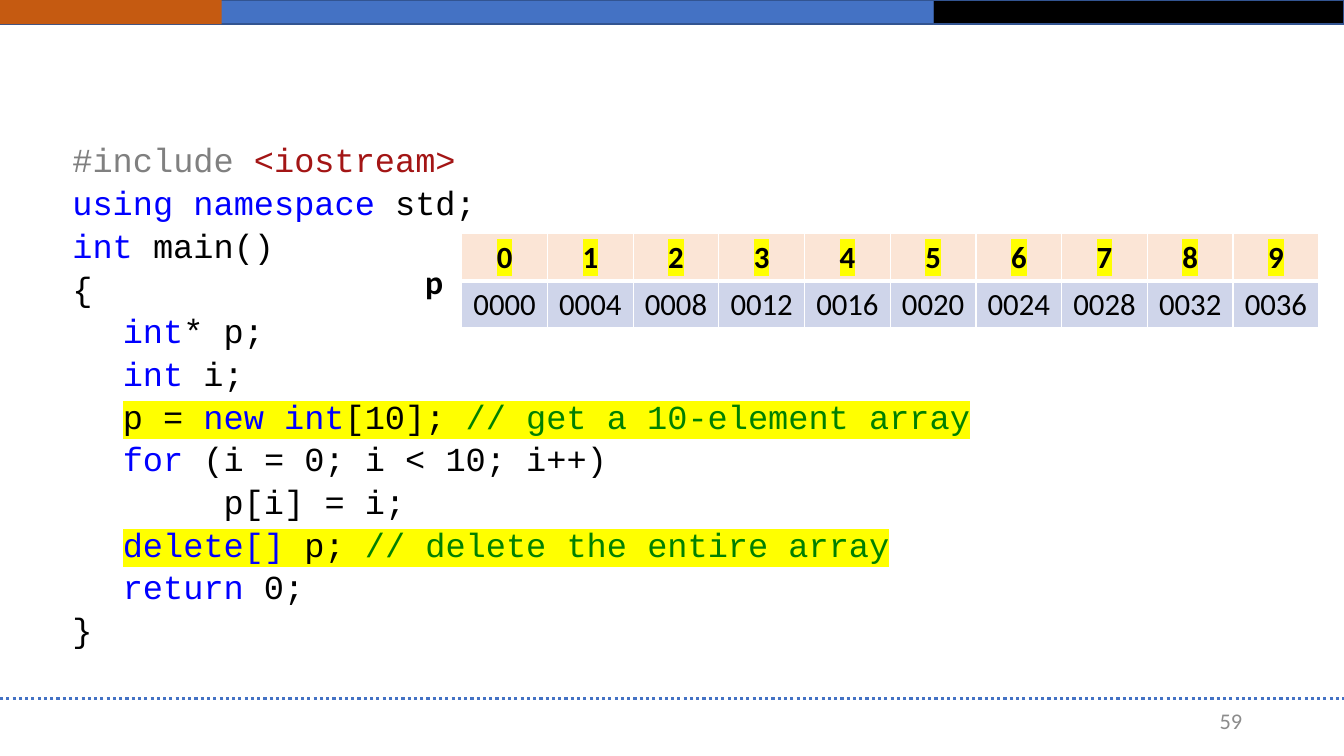
from lxml import etree
from pptx import Presentation
from pptx.dml.color import RGBColor
from pptx.enum.dml import MSO_LINE
from pptx.enum.shapes import MSO_CONNECTOR, MSO_SHAPE
from pptx.enum.text import MSO_ANCHOR, PP_ALIGN
from pptx.oxml.ns import qn
from pptx.util import Pt

PX = 9144  # EMU per px, 100 px to the inch
RECT, STRAIGHT = MSO_SHAPE.RECTANGLE, MSO_CONNECTOR.STRAIGHT
DOTTED = MSO_LINE.ROUND_DOT
LEFT, CENTER, RIGHT = PP_ALIGN.LEFT, PP_ALIGN.CENTER, PP_ALIGN.RIGHT
TOP, MIDDLE = MSO_ANCHOR.TOP, MSO_ANCHOR.MIDDLE

BLACK = RGBColor(0x00, 0x00, 0x00)
WHITE = RGBColor(0xFF, 0xFF, 0xFF)
BLUE = RGBColor(0x44, 0x72, 0xC4)
NAVY = RGBColor(0x32, 0x54, 0x91)
ORANGE = RGBColor(0xC5, 0x5A, 0x11)
GRAY = RGBColor(0x8C, 0x8C, 0x8C)
YELLOW = RGBColor(0xFF, 0xFF, 0x00)
PEACH = RGBColor(0xFB, 0xE5, 0xD6)
LAVENDER = RGBColor(0xCF, 0xD5, 0xEA)
DIRECTIVE = RGBColor(0x80, 0x80, 0x80)
HEADER = RGBColor(0xA3, 0x15, 0x15)
KEYWORD = RGBColor(0x00, 0x00, 0xFF)
COMMENT = RGBColor(0x00, 0x80, 0x00)

BODY_FONT, CODE_FONT = "Calibri", "Courier New"

# left, width, fill, outline
BANNER = [
    (0, 926, BLUE, NAVY),
    (926, 407, BLACK, NAVY),
    (0, 220, ORANGE, None),
]
BANNER_H = 24

# indent in px, highlight, coloured pieces
CODE = [
    (0, None, [("#include ", DIRECTIVE), ("<iostream>", HEADER)]),
    (0, None, [("using namespace", KEYWORD), (" std;", BLACK)]),
    (0, None, [("int", KEYWORD), (" main()", BLACK)]),
    (0, None, [("{", BLACK)]),
    (50, None, [("int", KEYWORD), ("* p;", BLACK)]),
    (50, None, [("int ", KEYWORD), ("i;", BLACK)]),
    (50, YELLOW, [("p = ", BLACK), ("new", KEYWORD), (" ", BLACK),
                  ("int", KEYWORD), ("[10]; ", BLACK),
                  ("// get a 10-element array", COMMENT)]),
    (50, None, [("for", KEYWORD), (" (i = 0; i < 10; i++)", BLACK)]),
    (150, None, [("p[i] = i;", BLACK)]),
    (50, YELLOW, [("delete[]", KEYWORD), (" p; ", BLACK),
                  ("// delete the entire array", COMMENT)]),
    (50, None, [("return", KEYWORD), (" 0;", BLACK)]),
    (0, None, [("}", BLACK)]),
]

ELEMENTS = 10
INT_BYTES = 4
COL_W, ROW_H = 85, 46
# texts, fill, bold, highlight, border widths in points
ARRAY_ROWS = [
    ([str(i) for i in range(ELEMENTS)], PEACH, True, YELLOW,
     {"L": 1, "R": 1, "T": 1, "B": 3}),
    ([f"{i * INT_BYTES:04d}" for i in range(ELEMENTS)], LAVENDER, False, None,
     {"L": 1, "R": 1, "T": 3, "B": 1}),
]


def add_run(p, text, size, color, font=BODY_FONT, bold=False, highlight=None):
    r = p.add_run()
    r.text = text
    r.font.size, r.font.bold, r.font.name = Pt(size), bold, font
    r.font.color.rgb = color
    if highlight is not None:
        mark = etree.Element(qn("a:highlight"))
        etree.SubElement(mark, qn("a:srgbClr"), val=str(highlight))
        r.font._element.find(qn("a:solidFill")).addnext(mark)


def add_text_frame(s, left, top, width, height, align=LEFT, anchor=TOP):
    """Add a wrapping text box and return its text frame."""
    box = s.shapes.add_textbox(left * PX, top * PX, width * PX, height * PX)
    tf = box.text_frame
    tf.word_wrap = True
    tf.vertical_anchor = anchor
    tf.paragraphs[0].alignment = align
    return tf


def add_banner(s):
    for left, width, fill, outline in BANNER:
        sp = s.shapes.add_shape(RECT, left * PX, 0, width * PX, BANNER_H * PX)
        sp.shadow.inherit = False
        sp.fill.solid()
        sp.fill.fore_color.rgb = fill
        if outline is None:
            sp.line.fill.background()
        else:
            sp.line.color.rgb = outline
            sp.line.width = Pt(1)


def add_footer(s, slide_width):
    rule = s.shapes.add_connector(STRAIGHT, 0, 693 * PX, slide_width, 693 * PX)
    etree.SubElement(rule._element.spPr, qn("a:effectLst"))
    rule.line.color.rgb = BLUE
    rule.line.width = Pt(2.25)
    rule.line.dash_style = DOTTED
    tf = add_text_frame(s, 942, 695, 300, 40, RIGHT, MIDDLE)
    add_run(tf.paragraphs[0], "59", 16, GRAY)


def add_code(s):
    tf = add_text_frame(s, 62, 131, 936, 495)
    for i, (indent, highlight, pieces) in enumerate(CODE):
        p = tf.add_paragraph() if i else tf.paragraphs[0]
        p.line_spacing = 1.06
        p._p.get_or_add_pPr().set("marL", str(indent * PX))
        for text, color in pieces:
            add_run(p, text, 24, color, CODE_FONT, highlight=highlight)


def set_borders(cell, widths):
    tcPr = cell._tc.get_or_add_tcPr()
    for side, width in widths.items():
        ln = etree.SubElement(tcPr, qn(f"a:ln{side}"), w=str(Pt(width)))
        fill = etree.SubElement(ln, qn("a:solidFill"))
        etree.SubElement(fill, qn("a:srgbClr"), val=str(WHITE))


def add_array(s):
    """Add the table of indexes and addresses with its pointer label."""
    rows = len(ARRAY_ROWS)
    table = s.shapes.add_table(rows, ELEMENTS, 458 * PX, 232 * PX,
                               ELEMENTS * COL_W * PX, rows * ROW_H * PX).table
    table.first_row = table.horz_banding = False
    for column in table.columns:
        column.width = COL_W * PX
    for row, (texts, fill, bold, highlight, borders) in zip(table.rows, ARRAY_ROWS):
        row.height = ROW_H * PX
        for cell, text in zip(row.cells, texts):
            set_borders(cell, borders)
            cell.fill.solid()
            cell.fill.fore_color.rgb = fill
            p = cell.text_frame.paragraphs[0]
            p.alignment = CENTER
            add_run(p, text, 22, BLACK, bold=bold, highlight=highlight)
    tf = add_text_frame(s, 378, 254, 105, 50, CENTER)
    add_run(tf.paragraphs[0], "p", 24, BLACK, bold=True)


def main():
    prs = Presentation()
    prs.slide_width, prs.slide_height = 1333 * PX, 750 * PX
    s = prs.slides.add_slide(prs.slide_layouts[6])
    add_banner(s)
    add_footer(s, prs.slide_width)
    add_code(s)
    add_array(s)
    prs.save("out.pptx")


if __name__ == "__main__":
    main()
